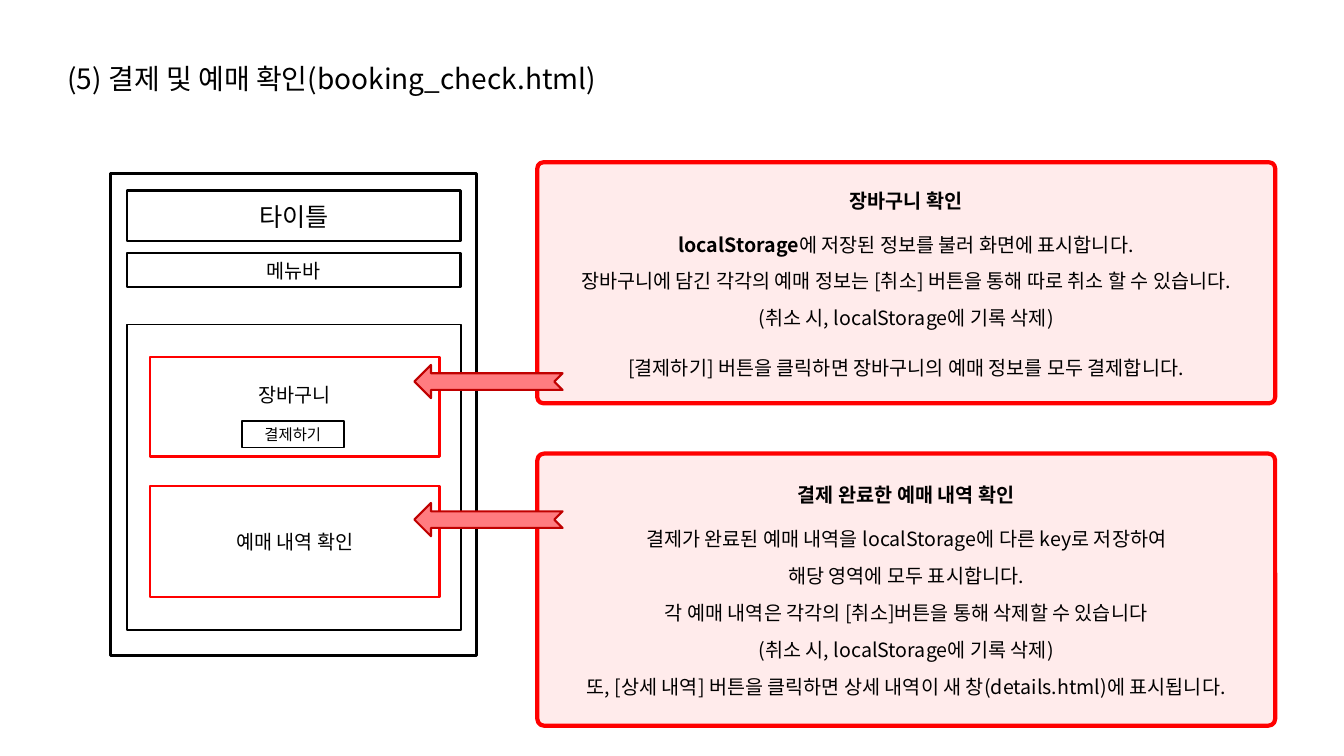
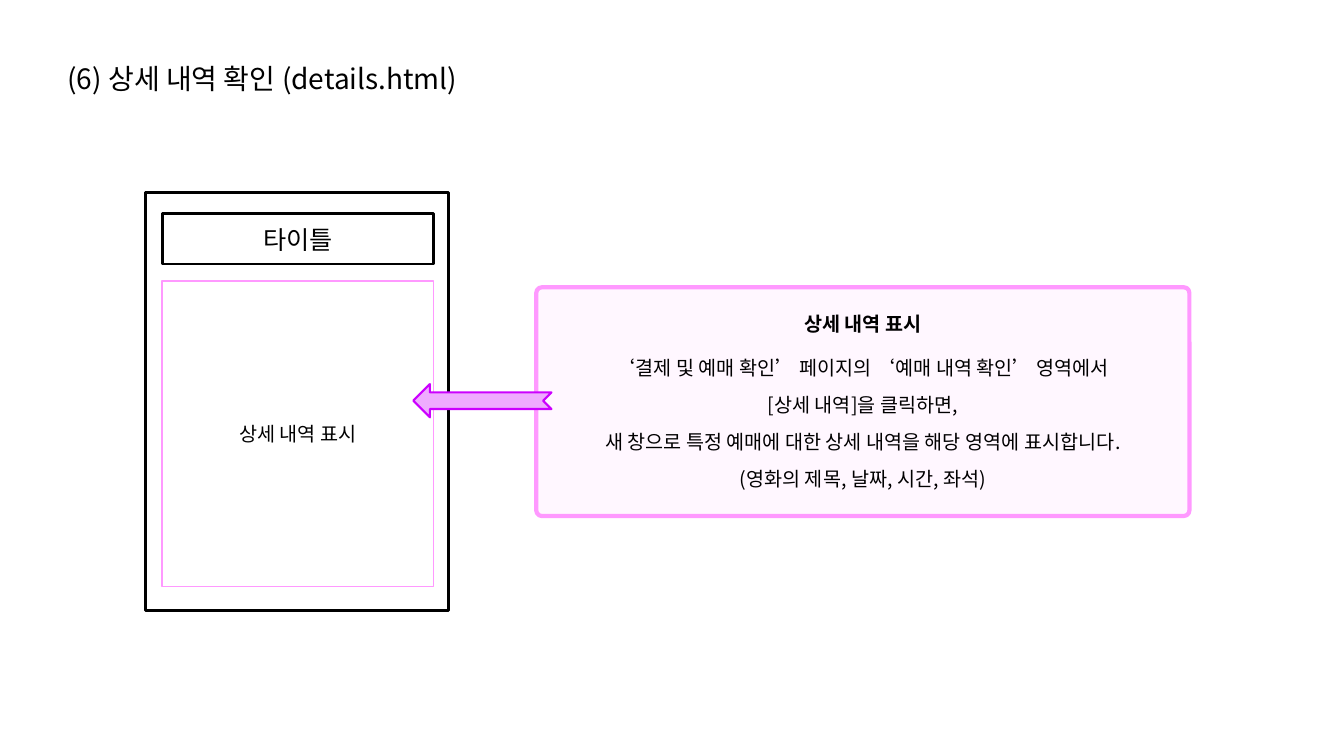
from dataclasses import dataclass

from pptx import Presentation
from pptx.dml.color import RGBColor
from pptx.enum.shapes import MSO_SHAPE
from pptx.enum.text import MSO_ANCHOR, PP_ALIGN
from pptx.oxml.ns import qn
from pptx.util import Inches, Pt

RECT, ROUND = MSO_SHAPE.RECTANGLE, MSO_SHAPE.ROUNDED_RECTANGLE
ARROW = MSO_SHAPE.NOTCHED_RIGHT_ARROW
TOP, MIDDLE = MSO_ANCHOR.TOP, MSO_ANCHOR.MIDDLE
LEFT, CENTER = PP_ALIGN.LEFT, PP_ALIGN.CENTER


@dataclass(frozen=True)
class Accent:
    edge: str
    tint: str
    arrow_fill: str
    arrow_line: str


class Theme:
    font = "Noto Sans CJK KR"
    ink, paper = "000000", "FFFFFF"
    red = Accent("FF0000", "FFEBEB", "FF7C80", "C00000")
    pink = Accent("FF99FF", "FFF7FF", "EFABFF", "CC00FF")
    title, banner, body, button = 20, 18, 14, 11
    leading = 1.22
    gap, heading_gap, wide_gap = 9.3, 14.3, 18.6


@dataclass(frozen=True)
class Box:
    x: float
    y: float
    w: float
    h: float

    def inner(self, x, y, w, h):
        return Box(self.x + self.w * x / 100, self.y + self.h * y / 100,
                   self.w * w / 100, self.h * h / 100)

    def emu(self):
        return [Inches(v) for v in (self.x, self.y, self.w, self.h)]


@dataclass(frozen=True)
class Line:
    text: str
    gap: float = Theme.gap
    lead: str = ""
    bold: bool = False


PAGE = Box(0, 0, 13.33, 7.5)


def style_run(r, size, bold):
    r.font.size, r.font.bold, r.font.name = Pt(size), bold, Theme.font
    r.font.color.rgb = RGBColor.from_string(Theme.ink)
    ea = r.font._element.makeelement(qn("a:ea"), {"typeface": Theme.font})
    r.font._element.append(ea)


def write(sp, lines, size, anchor=MIDDLE, align=CENTER, side=0.1, top=0, bottom=0):
    tf = sp.text_frame
    tf.word_wrap, tf.vertical_anchor = True, anchor
    tf.margin_left = tf.margin_right = Inches(side)
    tf.margin_top, tf.margin_bottom = Inches(top), Inches(bottom)
    for i, line in enumerate(lines):
        p = tf.add_paragraph() if i else tf.paragraphs[0]
        p.alignment, p.line_spacing = align, Pt(size * Theme.leading)
        p.space_before = Pt(line.gap if i else 0)
        for text, bold in ((line.lead, True), (line.text, line.bold)):
            if text:
                r = p.add_run()
                r.text = text
                style_run(r, size, bold)


def add_box(s, box, kind=RECT, fill=Theme.paper, edge=Theme.ink, width=1.25):
    sp = s.shapes.add_shape(kind, *box.emu())
    sp.shadow.inherit = False
    sp.fill.solid()
    sp.fill.fore_color.rgb = RGBColor.from_string(fill)
    sp.line.color.rgb = RGBColor.from_string(edge)
    sp.line.width = Pt(width)
    return sp


def add_label(s, box, text, size=Theme.body, edge=Theme.ink, width=1.75, lift=0):
    sp = add_box(s, box, edge=edge, width=width)
    write(sp, [Line(text)], size, bottom=lift)


def add_title(s, text):
    sp = s.shapes.add_textbox(*PAGE.inner(4.28, 7.07, 60, 5.87).emu())
    write(sp, [Line(text)], Theme.title, TOP, LEFT, top=0.07)


def add_callout(s, box, accent, heading, lines, side=0.1):
    sp = add_box(s, box, ROUND, accent.tint, accent.edge, 3)
    sp.adjustments[0] = 0.025
    write(sp, [Line(heading, bold=True), *lines], Theme.body, TOP,
          side=side, top=box.h * 0.1)


def add_arrow(s, box, accent):
    sp = add_box(s, box, ARROW, accent.arrow_fill, accent.arrow_line, 1.5)
    sp.rotation = 180


def booking_mockup(s, box):
    add_box(s, box, width=2)
    add_label(s, box.inner(4.4, 3.56, 91.2, 10.46), "타이틀", Theme.banner)
    add_label(s, box.inner(4.4, 16.53, 91.2, 7.11), "메뉴바")
    content = box.inner(4.4, 31.38, 91.2, 63.39)
    add_box(s, content)
    cart = content.inner(6.95, 10.56, 86.7, 32.67)
    history = content.inner(6.95, 52.81, 86.7, 36.3)
    add_label(s, cart, "장바구니", edge=Theme.red.edge, width=1.5, lift=0.24)
    add_label(s, history, "예매 내역 확인", edge=Theme.red.edge, width=1.5)
    add_label(s, cart.inner(31.7, 64.65, 35.2, 26.26), "결제하기", Theme.button, width=1.25)


def details_mockup(s, box):
    add_box(s, box, width=2)
    add_label(s, box.inner(5.65, 5.06, 89.4, 12.05), "타이틀", Theme.banner)
    add_label(s, box.inner(5.65, 21.2, 89.4, 73.01), "상세 내역 표시",
              edge=Theme.pink.edge, width=1.25)


def booking_slide(s):
    add_title(s, "(5) 결제 및 예매 확인(booking_check.html)")
    booking_mockup(s, PAGE.inner(8.25, 22.93, 27.23, 63.73))
    add_callout(s, PAGE.inner(39.98, 21.47, 54.9, 31.87), Theme.red, "장바구니 확인", [
        Line("에 저장된 정보를 불러 화면에 표시합니다.", Theme.heading_gap, "localStorage"),
        Line("장바구니에 담긴 각각의 예매 정보는 [취소] 버튼을 통해 따로 취소 할 수 있습니다."),
        Line("(취소 시, localStorage에 기록 삭제)"),
        Line("[결제하기] 버튼을 클릭하면 장바구니의 예매 정보를 모두 결제합니다.", Theme.wide_gap),
    ])
    add_callout(s, PAGE.inner(39.98, 60, 54.9, 36), Theme.red, "결제 완료한 예매 내역 확인", [
        Line("결제가 완료된 예매 내역을 localStorage에 다른 key로 저장하여", Theme.heading_gap),
        Line("해당 영역에 모두 표시합니다."),
        Line("각 예매 내역은 각각의 [취소]버튼을 통해 삭제할 수 있습니다"),
        Line("(취소 시, localStorage에 기록 삭제)"),
        Line("또, [상세 내역] 버튼을 클릭하면 상세 내역이 새 창(details.html)에 표시됩니다."),
    ], side=0.35)
    for y in (48.27, 66.53):
        add_arrow(s, PAGE.inner(30.83, y, 11.03, 4.4), Theme.red)


def details_slide(s):
    add_title(s, "(6) 상세 내역 확인 (details.html)")
    details_mockup(s, PAGE.inner(10.8, 25.47, 22.58, 55.33))
    add_callout(s, PAGE.inner(39.9, 38, 48.6, 30.27), Theme.pink, "상세 내역 표시", [
        Line("‘결제 및 예매 확인’ 페이지의 ‘예매 내역 확인’ 영역에서", Theme.heading_gap),
        Line("[상세 내역]을 클릭하면,"),
        Line("새 창으로 특정 예매에 대한 상세 내역을 해당 영역에 표시합니다."),
        Line("(영화의 제목, 날짜, 시간, 좌석)"),
    ])
    add_arrow(s, PAGE.inner(30.75, 50.8, 10.28, 4.4), Theme.pink)


def main():
    prs = Presentation()
    prs.slide_width, prs.slide_height = Inches(PAGE.w), Inches(PAGE.h)
    for build in (booking_slide, details_slide):
        build(prs.slides.add_slide(prs.slide_layouts[6]))
    prs.save("out.pptx")


if __name__ == "__main__":
    main()
